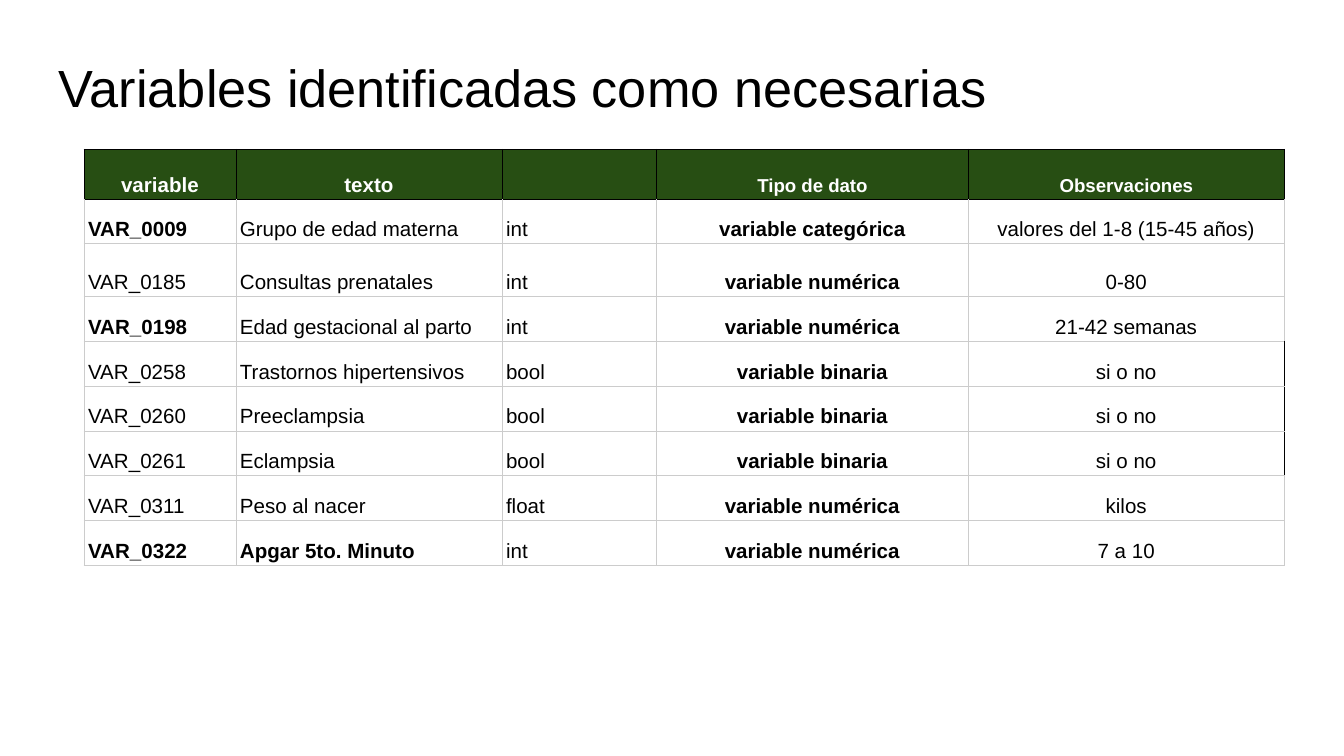
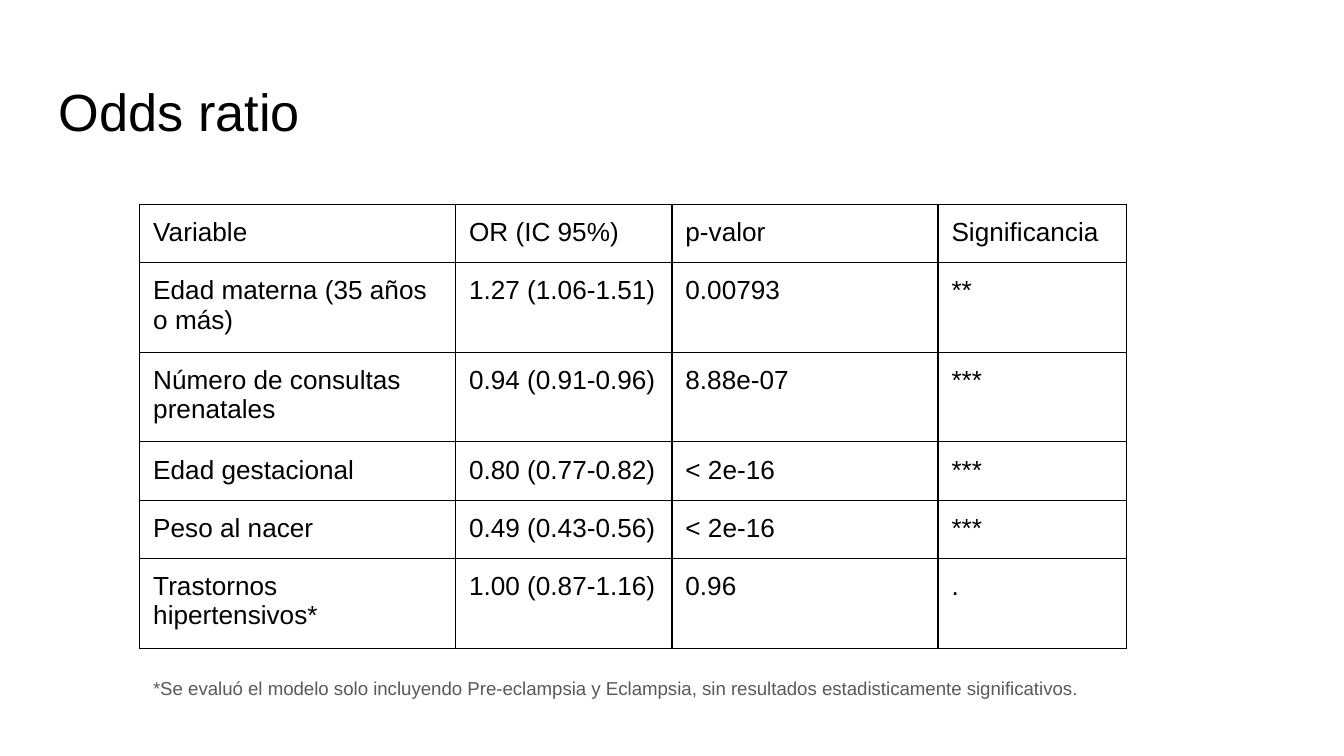
from lxml import etree
from pptx import Presentation
from pptx import util as u
from pptx.dml.color import RGBColor
from pptx.enum import text
from pptx.oxml import ns

BLACK = RGBColor(0x00, 0x00, 0x00)
WHITE = RGBColor(0xFF, 0xFF, 0xFF)
GREEN = RGBColor(0x27, 0x4E, 0x13)
SILVER = RGBColor(0xCC, 0xCC, 0xCC)
GREY = RGBColor(0x59, 0x59, 0x59)
FONT = "Arial"
SIDES = ("L", "R", "T", "B")

deck = Presentation()
deck.slide_width, deck.slide_height = u.Inches(10), u.Inches(5.625)

# Layout grid: 100 columns by 100 rows
COL = deck.slide_width / 100
ROW = deck.slide_height / 100
INSET = u.Inches(0.1)


def write(para, words, size=14, color=BLACK, bold=False, align=text.PP_ALIGN.LEFT, spacing=1.0):
    """Put one formatted run in a paragraph."""
    para.alignment, para.line_spacing = align, spacing
    span = para.add_run()
    span.text = words
    span.font.name, span.font.size, span.font.bold = FONT, u.Pt(size), bold
    span.font.color.rgb = color


def add_grid(page, left, top, widths, heights, margins, line, edge, accents=()):
    """Add an unfilled table with ruled cells; accents are (row, column, side) drawn black."""
    table = page.shapes.add_table(len(heights), len(widths), int(left * COL), int(top * ROW),
                                  int(sum(widths) * COL), int(sum(heights) * ROW)).table
    table.first_row = table.horz_banding = False
    for column, width in zip(table.columns, widths):
        column.width = int(width * COL)
    for row, height in zip(table.rows, heights):
        row.height = int(height * ROW)
    for r in range(len(heights)):
        for c in range(len(widths)):
            cell = table.cell(r, c)
            cell.margin_left = cell.margin_right = margins[0]
            cell.margin_top = cell.margin_bottom = margins[1]
            cell.fill.background()
            for order, side in enumerate(SIDES):
                color = BLACK if (r, c, side) in accents else edge
                border = etree.Element(ns.qn(f"a:ln{side}"), w=str(u.Pt(line)))
                paint = etree.SubElement(border, ns.qn("a:solidFill"))
                etree.SubElement(paint, ns.qn("a:srgbClr"), val=str(color))
                cell._tc.get_or_add_tcPr().insert(order, border)
    return table


variables_page, odds_page = [deck.slides.add_slide(deck.slide_layouts[6]) for _ in range(2)]

# Titles and footnote
FOOTNOTE = ("*Se evaluó el modelo solo incluyendo Pre-eclampsia y Eclampsia, "
            "sin resultados estadisticamente significativos.")
for page, words, left, top, width, height, size, color in (
    (variables_page, "Variables identificadas como necesarias", 3.4, 5.5, 93.2, 11.2, 28, BLACK),
    (odds_page, "Odds ratio", 3.4, 8.7, 93.2, 11.2, 28, BLACK),
    (odds_page, FOOTNOTE, 10.4, 88, 74.1, 7.1, 10, GREY),
):
    box = page.shapes.add_textbox(int(left * COL), int(top * ROW), int(width * COL), int(height * ROW))
    frame = box.text_frame
    frame.word_wrap = True
    frame.margin_left = frame.margin_right = frame.margin_top = frame.margin_bottom = INSET
    write(frame.paragraphs[0], words, size=size, color=color)

# Table of variables
variables = [
    ("variable", "texto", "", "Tipo de dato", "Observaciones"),
    ("VAR_0009", "Grupo de edad materna", "int", "variable categórica", "valores del 1-8 (15-45 años)"),
    ("VAR_0185", "Consultas prenatales", "int", "variable numérica", "0-80"),
    ("VAR_0198", "Edad gestacional al parto", "int", "variable numérica", "21-42 semanas"),
    ("VAR_0258", "Trastornos hipertensivos", "bool", "variable binaria", "si o no"),
    ("VAR_0260", "Preeclampsia", "bool", "variable binaria", "si o no"),
    ("VAR_0261", "Eclampsia", "bool", "variable binaria", "si o no"),
    ("VAR_0311", "Peso al nacer", "float", "variable numérica", "kilos"),
    ("VAR_0322", "Apgar 5to. Minuto", "int", "variable numérica", "7 a 10"),
]
KEY_WORDS = {"VAR_0009", "VAR_0198", "VAR_0322", "Apgar 5to. Minuto"}
TYPE_COLUMN = 3

header_edges = {(0, c, side) for c in range(5) for side in SIDES}
below_header = {(1, c, "T") for c in range(5)}
yes_no_edges = {(r, 4, "R") for r, row in enumerate(variables) if row[4] == "si o no"}
table = add_grid(variables_page, 6.25, 19.75, (11.3, 19.8, 11.5, 23.2, 23.5),
                 [6.6, 5.92, 7] + [5.92] * 6, (u.Inches(0.03), u.Inches(0.02)),
                 0.45, SILVER, header_edges | below_header | yes_no_edges)

for r, row in enumerate(variables):
    for c, words in enumerate(row):
        cell, header = table.cell(r, c), r == 0
        cell.vertical_anchor = text.MSO_ANCHOR.BOTTOM
        if header:
            cell.fill.solid()
            cell.fill.fore_color.rgb = GREEN
        if words:
            centred = header or c >= TYPE_COLUMN
            write(cell.text_frame.paragraphs[0], words, spacing=1.15,
                  size=10 if header and c >= TYPE_COLUMN else 11,
                  color=WHITE if header else BLACK,
                  bold=header or c == TYPE_COLUMN or words in KEY_WORDS,
                  align=text.PP_ALIGN.CENTER if centred else text.PP_ALIGN.LEFT)

# Table of odds ratios
odds = [
    ("Variable", "OR (IC 95%)", "p-valor", "Significancia"),
    ("Edad materna (35 años o más)", "1.27 (1.06-1.51)", "0.00793", "**"),
    ("Número de consultas prenatales", "0.94 (0.91-0.96)", "8.88e-07", "***"),
    ("Edad gestacional", "0.80 (0.77-0.82)", "< 2e-16", "***"),
    ("Peso al nacer", "0.49 (0.43-0.56)", "< 2e-16", "***"),
    ("Trastornos hipertensivos*", "1.00 (0.87-1.16)", "0.96", "."),
]
table = add_grid(odds_page, 10.4, 27, (23.5, 16.1, 19.8, 14), [7.5] * len(odds),
                 (INSET, INSET), 0.75, BLACK)
for r, row in enumerate(odds):
    for c, words in enumerate(row):
        write(table.cell(r, c).text_frame.paragraphs[0], words)

deck.save("out.pptx")
